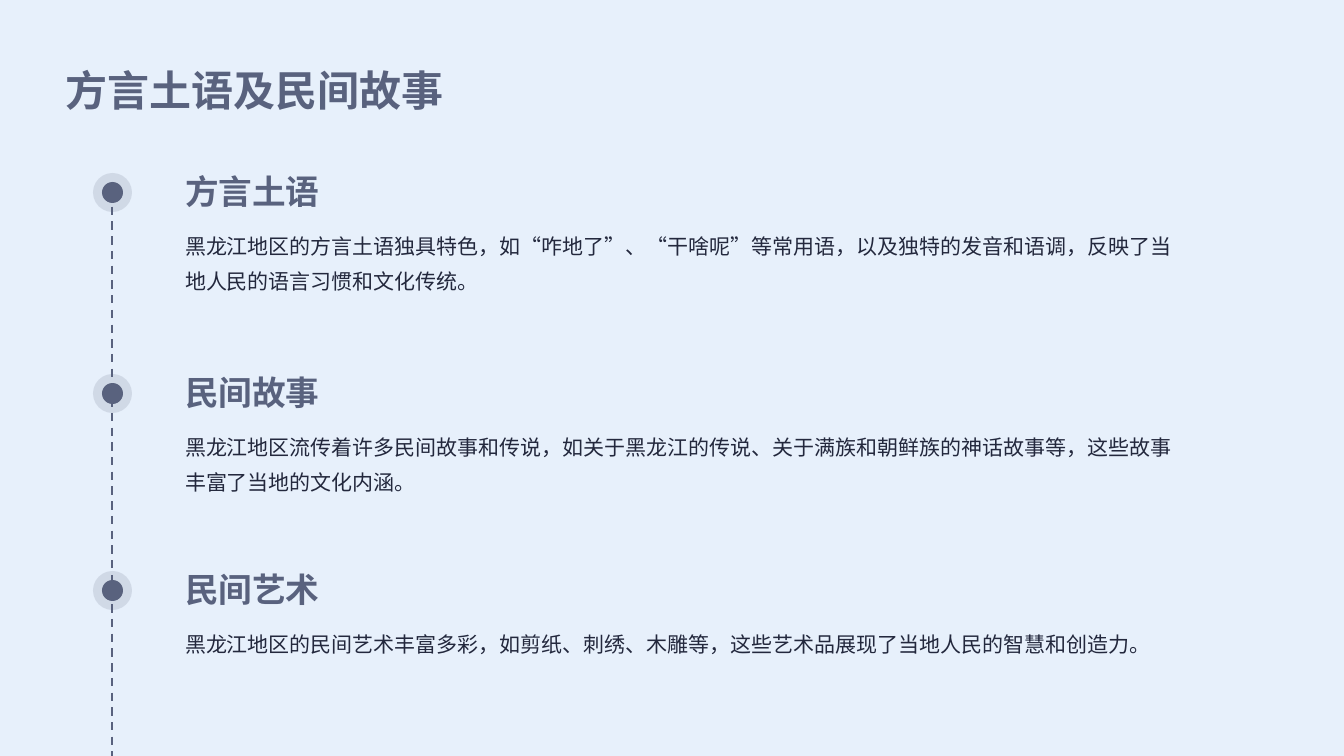
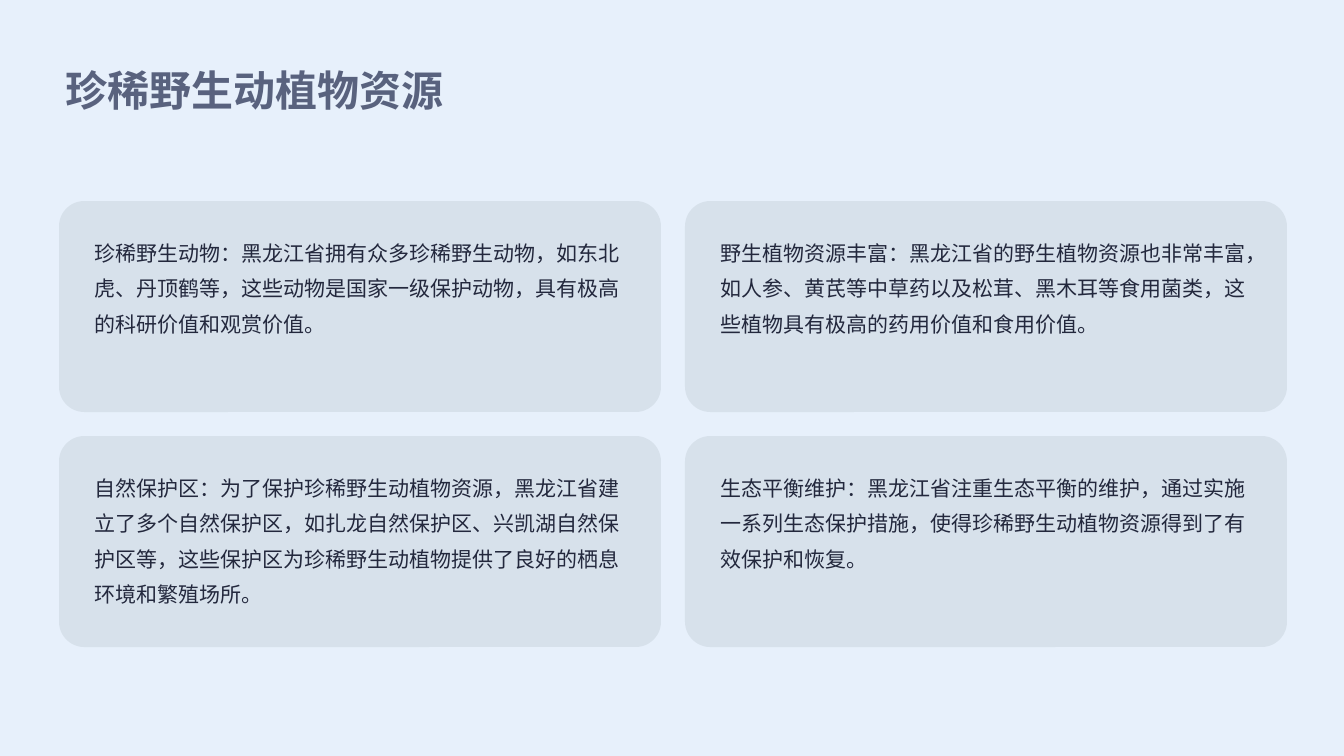
import enum

import pptx
import pptx.dml.color
import pptx.enum.dml
import pptx.enum.shapes
import pptx.enum.text
import pptx.oxml.ns
import pptx.oxml.xmlchemy
import pptx.util
from lxml import etree

PX = 914400 / 100.8
ANCHOR = pptx.enum.text.MSO_ANCHOR
SHAPE = pptx.enum.shapes.MSO_SHAPE
qn = pptx.oxml.ns.qn


class Theme:
    font = "Noto Sans CJK SC"
    background = pptx.dml.color.RGBColor.from_string("E7F0FB")
    accent = pptx.dml.color.RGBColor.from_string("59627E")
    ink = pptx.dml.color.RGBColor.from_string("23283D")
    card = pptx.dml.color.RGBColor.from_string("D7E1EB")
    title_size, heading_size, body_size = 30, 24, 15
    halo_alpha = 16000


def px(*lengths):
    """Turn pixel lengths into EMU."""
    return [pptx.util.Emu(round(length * PX)) for length in lengths]


def write(shape, text, size, color, bold=False, spacing=1.4,
          anchor=ANCHOR.TOP, margins=(0, 0, 0, 0)):
    """Set one left-aligned paragraph; margins run left, top, right, bottom."""
    frame = shape.text_frame
    frame.word_wrap = True
    frame.auto_size = pptx.enum.text.MSO_AUTO_SIZE.NONE
    frame.vertical_anchor = anchor
    (frame.margin_left, frame.margin_top,
     frame.margin_right, frame.margin_bottom) = px(*margins)
    frame.text = text
    paragraph = frame.paragraphs[0]
    paragraph.alignment = pptx.enum.text.PP_ALIGN.LEFT
    paragraph.line_spacing = spacing
    paragraph.font.size = pptx.util.Pt(size)
    paragraph.font.bold = bold
    paragraph.font.color.rgb = color
    paragraph.font.name = Theme.font
    # Chinese glyphs take their typeface from a:ea, not a:latin
    defaults = paragraph._p.pPr.find(qn("a:defRPr"))
    etree.SubElement(defaults, qn("a:ea"), typeface=Theme.font)


prs = pptx.Presentation()
prs.slide_width, prs.slide_height = px(1344, 756)
prs.slide_master.background.fill.solid()
prs.slide_master.background.fill.fore_color.rgb = Theme.background
title_only = prs.slide_layouts.get_by_name("Title Only")
layout_title = title_only.placeholders[0]
(layout_title.left, layout_title.top,
 layout_title.width, layout_title.height) = px(52, 29, 1239, 101)

folklore_slide, wildlife_slide = [prs.slides.add_slide(title_only) for _ in range(2)]
for slide, title in (
    (folklore_slide, "方言土语及民间故事"),
    (wildlife_slide, "珍稀野生动植物资源"),
):
    write(slide.shapes.title, title, Theme.title_size, Theme.accent, bold=True,
          anchor=ANCHOR.MIDDLE, margins=(14, 14, 6, 14))

# Timeline: vertical centre of the marker, heading, description
topics = [
    (192, "方言土语",
     "黑龙江地区的方言土语独具特色，如“咋地了”、“干啥呢”等常用语，以及独特的发音和语调，"
     "反映了当地人民的语言习惯和文化传统。"),
    (393, "民间故事",
     "黑龙江地区流传着许多民间故事和传说，如关于黑龙江的传说、关于满族和朝鲜族的神话故事等，"
     "这些故事丰富了当地的文化内涵。"),
    (590, "民间艺术",
     "黑龙江地区的民间艺术丰富多彩，如剪纸、刺绣、木雕等，这些艺术品展现了当地人民的智慧和创造力。"),
]
axis_x, text_x, text_width = 112, 185, 989
for center_y, heading, description in topics:
    for diameter, alpha in ((39, Theme.halo_alpha), (21, None)):
        radius = diameter // 2
        marker = folklore_slide.shapes.add_shape(
            SHAPE.OVAL, *px(axis_x - radius, center_y - radius, diameter, diameter))
        marker.shadow.inherit = False
        marker.line.fill.background()
        marker.fill.solid()
        marker.fill.fore_color.rgb = Theme.accent
        if alpha:
            tint = marker._element.spPr.find(qn("a:solidFill")).find(qn("a:srgbClr"))
            etree.SubElement(tint, qn("a:alpha"), val=str(alpha))
    heading_box = folklore_slide.shapes.add_textbox(
        *px(text_x, center_y - 42, text_width, 61))
    write(heading_box, heading, Theme.heading_size, Theme.accent, bold=True,
          spacing=1.2, anchor=ANCHOR.BOTTOM)
    description_box = folklore_slide.shapes.add_textbox(
        *px(text_x, center_y + 31, text_width, 85))
    write(description_box, description, Theme.body_size, Theme.ink)

axis = folklore_slide.shapes.add_connector(
    pptx.enum.shapes.MSO_CONNECTOR.STRAIGHT, *px(axis_x, topics[0][0], axis_x, 756))
axis.line.color.rgb = Theme.accent
axis.line.width = pptx.util.Pt(1.5)
axis.line.dash_style = pptx.enum.dml.MSO_LINE.DASH
etree.SubElement(axis._element.spPr, qn("a:effectLst"))

# Cards in a two-by-two grid
resources = [
    "珍稀野生动物：黑龙江省拥有众多珍稀野生动物，如东北虎、丹顶鹤等，这些动物是国家一级保护动物，"
    "具有极高的科研价值和观赏价值。",
    "野生植物资源丰富：黑龙江省的野生植物资源也非常丰富，如人参、黄芪等中草药以及松茸、"
    "黑木耳等食用菌类，这些植物具有极高的药用价值和食用价值。",
    "自然保护区：为了保护珍稀野生动植物资源，黑龙江省建立了多个自然保护区，如扎龙自然保护区、"
    "兴凯湖自然保护区等，这些保护区为珍稀野生动植物提供了良好的栖息环境和繁殖场所。",
    "生态平衡维护：黑龙江省注重生态平衡的维护，通过实施一系列生态保护措施，"
    "使得珍稀野生动植物资源得到了有效保护和恢复。",
]
card_width, card_height, gap = 602, 211, 24
for index, resource in enumerate(resources):
    row, column = divmod(index, 2)
    card = wildlife_slide.shapes.add_shape(
        SHAPE.ROUNDED_RECTANGLE,
        *px(59 + column * (card_width + gap), 201 + row * (card_height + gap),
            card_width, card_height))
    card.adjustments[0] = 0.12
    card.shadow.inherit = False
    card.line.fill.background()
    card.fill.solid()
    card.fill.fore_color.rgb = Theme.card
    write(card, resource, Theme.body_size, Theme.ink, margins=(28, 22, 28, 22))

prs.save("out.pptx")
